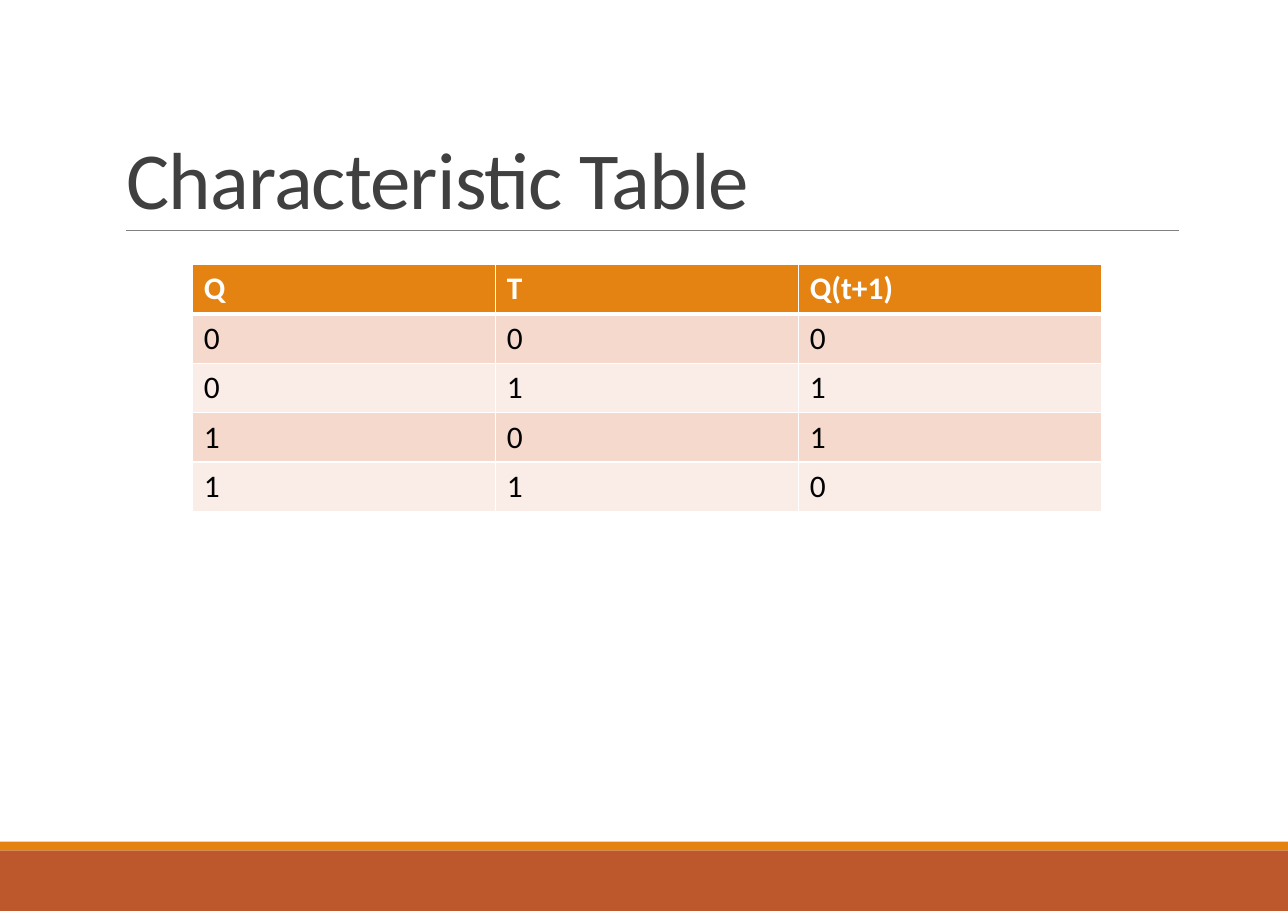
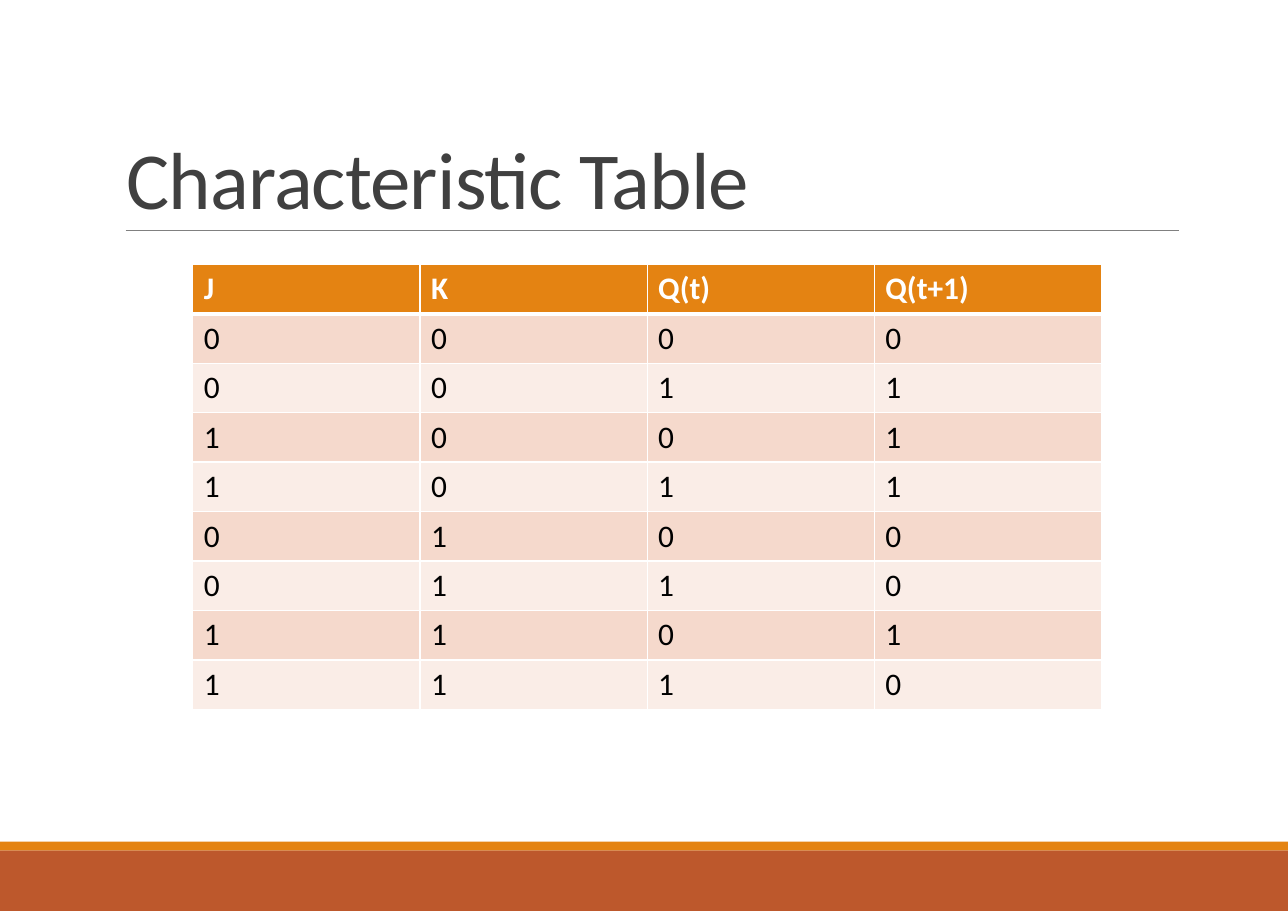
from dataclasses import dataclass

from lxml.etree import SubElement
from pptx import Presentation
from pptx.dml.color import RGBColor
from pptx.enum.shapes import MSO_CONNECTOR, MSO_SHAPE
from pptx.enum.text import MSO_ANCHOR, MSO_AUTO_SIZE, PP_ALIGN
from pptx.oxml.ns import qn
from pptx.presentation import Presentation as Deck
from pptx.slide import Slide
from pptx.table import _Cell
from pptx.text.text import _Paragraph, _Run
from pptx.util import Emu, Pt

EMU_PER_PX = 9144
FONT = "Calibri"
COLORS = {
    "rust": "BD582C",
    "orange": "E48312",
    "rule": "808080",
    "title": "404040",
    "white": "FFFFFF",
    "black": "000000",
    "odd_row": "F5D9CC",
    "even_row": "FAEDE7",
}
PAGE_WIDTH, PAGE_HEIGHT = 1169, 827
TABLE_LEFT, TABLE_TOP, TABLE_WIDTH, ROW_HEIGHT = 175, 240, 825, 43


@dataclass(frozen=True)
class Band:
    top: int
    height: int
    color: str


@dataclass(frozen=True)
class TablePage:
    title: str
    header: tuple[str, ...]
    rows: tuple[str, ...]


BANDS = (Band(772, 55, "rust"), Band(764, 8, "orange"))
PAGES = (
    TablePage("Characteristic Table", ("Q", "T", "Q(t+1)"), ("000", "011", "101", "110")),
    TablePage(
        "Characteristic Table",
        ("J", "K", "Q(t)", "Q(t+1)"),
        ("0000", "0011", "1001", "1011", "0100", "0110", "1101", "1110"),
    ),
)


def px(length: int) -> Emu:
    return Emu(length * EMU_PER_PX)


def color(name: str) -> RGBColor:
    return RGBColor.from_string(COLORS[name])


def add_span(para: _Paragraph, text: str, size: float, shade: str, bold: bool = False) -> _Run:
    span = para.add_run()
    span.text = text
    span.font.name = FONT
    span.font.size = Pt(size)
    span.font.bold = bold
    span.font.color.rgb = color(shade)
    return span


def draw_frame(page: Slide) -> None:
    for band in BANDS:
        box = page.shapes.add_shape(
            MSO_SHAPE.RECTANGLE, px(0), px(band.top), px(PAGE_WIDTH), px(band.height)
        )
        box.shadow.inherit = False
        box.fill.solid()
        box.fill.fore_color.rgb = color(band.color)
        box.line.fill.background()
    rule = page.shapes.add_connector(
        MSO_CONNECTOR.STRAIGHT, px(114), px(209), px(1070), px(209)
    )
    rule.line.color.rgb = color("rule")
    rule.line.width = Pt(0.5)
    SubElement(rule._element.spPr, qn("a:effectLst"))


def draw_title(page: Slide, text: str) -> None:
    box = page.shapes.title
    box.left, box.top, box.width, box.height = px(105), px(35), px(965), px(175)
    frame = box.text_frame
    frame.word_wrap = True
    frame.auto_size = MSO_AUTO_SIZE.NONE
    frame.vertical_anchor = MSO_ANCHOR.BOTTOM
    para = frame.paragraphs[0]
    para.alignment = PP_ALIGN.LEFT
    para.line_spacing = 0.85
    span = add_span(para, text, 52.9, "title")
    span.font._element.set("spc", "-60")


def add_borders(cell: _Cell, top: int, bottom: int) -> None:
    properties = cell._tc.get_or_add_tcPr()
    for side, width in (("L", 1), ("R", 1), ("T", top), ("B", bottom)):
        border = SubElement(properties, qn(f"a:ln{side}"), w=str(Pt(width)))
        fill = SubElement(border, qn("a:solidFill"))
        SubElement(fill, qn("a:srgbClr"), val=COLORS["white"])


def draw_table(page: Slide, header: tuple[str, ...], rows: tuple[str, ...]) -> None:
    lines = (header, *rows)
    table = page.shapes.add_table(
        len(lines), len(header), px(TABLE_LEFT), px(TABLE_TOP),
        px(TABLE_WIDTH), px(ROW_HEIGHT * len(lines)),
    ).table
    for row, line in enumerate(lines):
        is_header = row == 0
        shade = "orange" if is_header else "odd_row" if row % 2 else "even_row"
        for column, text in enumerate(line):
            cell = table.cell(row, column)
            add_borders(cell, 3 if row == 1 else 1, 3 if is_header else 1)
            cell.fill.solid()
            cell.fill.fore_color.rgb = color(shade)
            para = cell.text_frame.paragraphs[0]
            add_span(para, text, 20.5, "white" if is_header else "black", is_header)


def draw_page(deck: Deck, content: TablePage) -> None:
    page = deck.slides.add_slide(deck.slide_layouts.get_by_name("Title Only"))
    draw_frame(page)
    draw_title(page, content.title)
    draw_table(page, content.header, content.rows)


def main() -> None:
    deck = Presentation()
    deck.slide_width, deck.slide_height = px(PAGE_WIDTH), px(PAGE_HEIGHT)
    for content in PAGES:
        draw_page(deck, content)
    deck.save("out.pptx")


if __name__ == "__main__":
    main()
